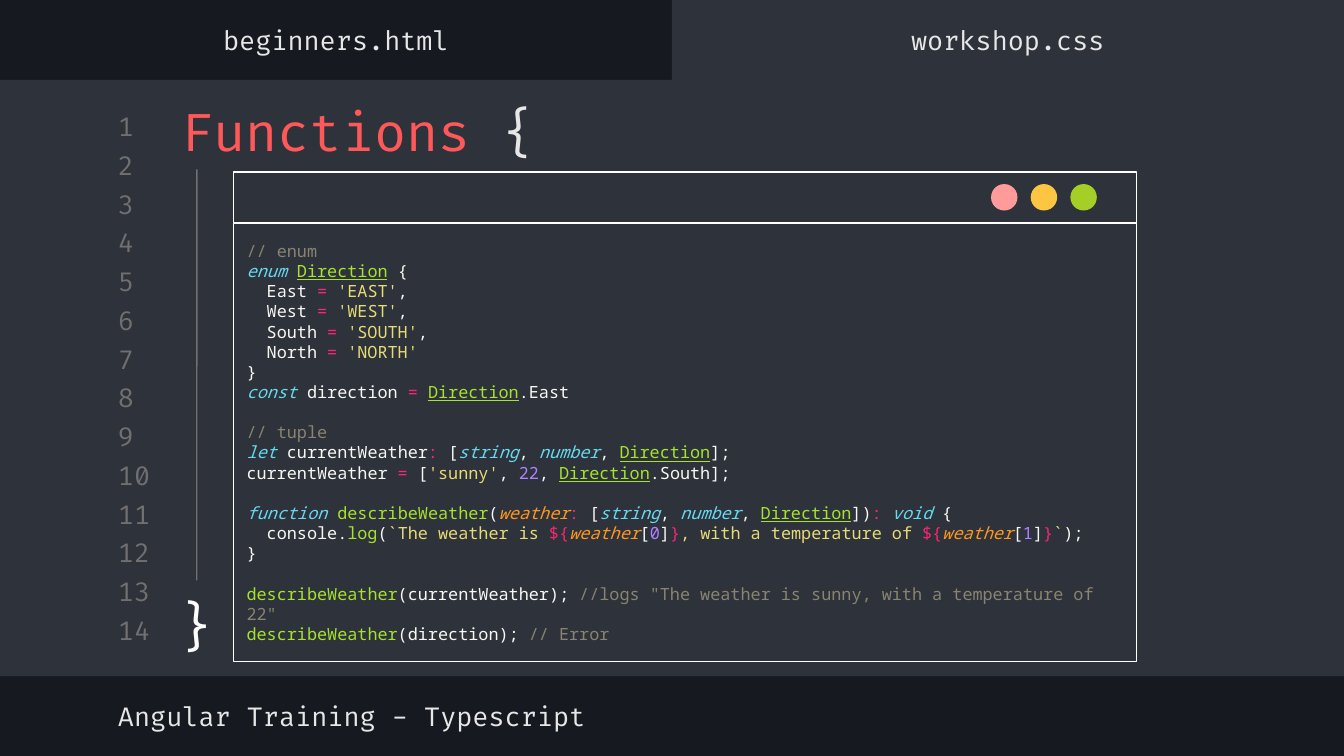
"""Builds the Functions slide: an editor window with TypeScript enum and tuple code."""
from lxml.etree import SubElement
from pptx import Presentation
from pptx.dml.color import RGBColor
from pptx.enum.shapes import MSO_CONNECTOR, MSO_SHAPE
from pptx.enum.text import MSO_ANCHOR, MSO_AUTO_SIZE, PP_ALIGN
from pptx.oxml.ns import qn
from pptx.util import Cm, Pt

THEME = {
    "back": "16191F", "panel": "2E323B", "outline": "FFFFFF", "guide": "707070",
    "ui_font": "Fira Code", "code_font": "Noto Sans Mono",
    "title_size": 28, "label_size": 14, "code_size": 9, "code_line": 10.8, "stroke": 0.75,
    "dots": ["FF9B9B", "FCC642", "A5CF27"],
    "styles": {
        "heading": ("FF5858", {}),
        "label": ("E7E7E7", {}),
        "number": ("707070", {}),
        "brace": ("FFFFFF", {}),
        "note": ("88846F", {}),
        "key": ("66D9EF", {"italic": True}),
        "type": ("A6E22E", {"underline": True}),
        "call": ("A6E22E", {}),
        "plain": ("F8F8F2", {}),
        "op": ("F92672", {}),
        "text": ("E6DB74", {}),
        "value": ("AE81FF", {}),
        "arg": ("FD971F", {"italic": True}),
    },
}

TITLE = [("heading", "Functions "), ("label", "{")]
TABS = ["beginners.html", "workshop.css"]
FOOTER = "Angular Training - Typescript"
LINE_COUNT = 14
DIRECTIONS = ["East", "West", "South", "North"]

DIRECTION = ("type", "Direction")
COMMA = ("plain", ", ")
TUPLE_TYPE = [("plain", " ["), ("key", "string"), COMMA, ("key", "number"), COMMA, DIRECTION]


def member(name):
    """Return the code runs of one enum member."""
    runs = [("plain", f"  {name} "), ("op", "= "), ("text", f"'{name.upper()}'")]
    return runs if name == DIRECTIONS[-1] else runs + [("plain", ",")]


def weather_item(index):
    """Return the code runs of one template placeholder."""
    return [("op", "${"), ("arg", "weather"), ("plain", "["), ("value", index),
            ("plain", "]"), ("op", "}")]


CODE_BLOCKS = [
    [
        [("note", "// enum")],
        [("key", "enum "), DIRECTION, ("plain", " {")],
        *[member(name) for name in DIRECTIONS],
        [("plain", "}")],
        [("key", "const"), ("plain", " direction "), ("op", "= "), DIRECTION, ("plain", ".East")],
    ],
    [
        [("note", "// tuple")],
        [("key", "let "), ("plain", "currentWeather"), ("op", ":"), *TUPLE_TYPE, ("plain", "];")],
        [("plain", "currentWeather "), ("op", "="), ("plain", " ["), ("text", "'sunny'"), COMMA,
         ("value", "22"), COMMA, DIRECTION, ("plain", ".South];")],
    ],
    [
        [("key", "function "), ("call", "describeWeather"), ("plain", "("), ("arg", "weather"),
         ("op", ":"), *TUPLE_TYPE, ("plain", "])"), ("op", ": "), ("key", "void"), ("plain", " {")],
        [("plain", "  console."), ("call", "log"), ("plain", "("), ("text", "`The weather is "),
         *weather_item("0"), ("text", ", with a temperature of "), *weather_item("1"),
         ("text", "`"), ("plain", ");")],
        [("plain", "}")],
    ],
    [
        [("call", "describeWeather"), ("plain", "(currentWeather); "),
         ("note", '//logs "The weather is sunny, with a temperature of 22"')],
        [("call", "describeWeather"), ("plain", "(direction); "), ("note", "// Error")],
    ],
]


def color(value):
    return RGBColor.from_string(value)


def box(*lengths):
    return [Cm(length) for length in lengths]


def set_all(target, values):
    for name, value in values.items():
        setattr(target, name, value)


def add_runs(paragraph, runs, font, size):
    for style, text in runs:
        run = paragraph.add_run()
        run.text = text
        shade, extras = THEME["styles"][style]
        set_all(run.font, {"name": font, "size": Pt(size), **extras})
        run.font.color.rgb = color(shade)


def set_frame(frame, anchor=MSO_ANCHOR.MIDDLE):
    margins = {f"margin_{side}": Cm(0.25) for side in ("left", "top", "right", "bottom")}
    set_all(frame, {"word_wrap": True, "auto_size": MSO_AUTO_SIZE.NONE,
                    "vertical_anchor": anchor, **margins})


def add_label(slide, place, text, style="label", size=THEME["label_size"],
              align=PP_ALIGN.LEFT, anchor=MSO_ANCHOR.MIDDLE):
    label = slide.shapes.add_textbox(*box(*place))
    set_frame(label.text_frame, anchor)
    paragraph = label.text_frame.paragraphs[0]
    paragraph.alignment = align
    add_runs(paragraph, [(style, text)], THEME["ui_font"], size)
    return label


def add_block(slide, place, fill, outline=None, kind=MSO_SHAPE.RECTANGLE):
    block = slide.shapes.add_shape(kind, *box(*place))
    block.shadow.inherit = False
    block.fill.solid()
    block.fill.fore_color.rgb = color(fill)
    if outline:
        block.line.color.rgb = color(outline)
        block.line.width = Pt(THEME["stroke"])
    else:
        block.line.fill.background()
    return block


def add_title(slide):
    """Fill the title and lift it in front of the panels."""
    title = slide.shapes.title
    slide.shapes._spTree.append(title._element)
    set_all(title, dict(zip(("left", "top", "width", "height"), box(3.18, 1.63, 20.24, 1.5))))
    set_frame(title.text_frame, MSO_ANCHOR.TOP)
    paragraph = title.text_frame.paragraphs[0]
    paragraph.alignment = PP_ALIGN.LEFT
    add_runs(paragraph, TITLE, THEME["ui_font"], THEME["title_size"])


def add_closing_brace(slide):
    brace = add_label(slide, (3.02, 10.97, 1.4, 1.7), "}", "brace", THEME["title_size"],
                      PP_ALIGN.CENTER, MSO_ANCHOR.TOP)
    guide = slide.shapes.add_connector(MSO_CONNECTOR.STRAIGHT, *box(3.72, 3.2, 3.72, 10.97))
    guide.end_connect(brace, 0)
    guide.line.color.rgb = color(THEME["guide"])
    guide.line.width = Pt(THEME["stroke"])
    SubElement(guide._element.spPr, qn("a:effectLst"))


def add_code_window(slide):
    left, top, width, bar, body = 4.41, 3.25, 17.07, 0.97, 8.28
    window = add_block(slide, (left, top + bar, width, body), THEME["panel"], THEME["outline"])
    frame = window.text_frame
    set_frame(frame)
    lines = [(runs, block > 0 and row == 0)
             for block, rows in enumerate(CODE_BLOCKS) for row, runs in enumerate(rows)]
    for index, (runs, gap) in enumerate(lines):
        paragraph = frame.add_paragraph() if index else frame.paragraphs[0]
        set_all(paragraph, {"alignment": PP_ALIGN.LEFT, "line_spacing": Pt(THEME["code_line"])})
        if gap:
            paragraph.space_before = Pt(THEME["code_line"])
        add_runs(paragraph, runs, THEME["code_font"], THEME["code_size"])
    add_block(slide, (left, top, width, bar), THEME["panel"], THEME["outline"])
    for index, fill in enumerate(THEME["dots"]):
        add_block(slide, (18.73 + 0.75 * index, 3.48, 0.5, 0.5), fill, kind=MSO_SHAPE.OVAL)


def main():
    deck = Presentation()
    deck.slide_width, deck.slide_height = box(25.4, 14.29)
    slide = deck.slides.add_slide(deck.slide_layouts[5])
    slide.background.fill.solid()
    slide.background.fill.fore_color.rgb = color(THEME["back"])
    add_block(slide, (0, 1.51, 25.4, 11.27), THEME["panel"])
    add_block(slide, (12.7, 0, 12.7, 1.75), THEME["panel"])
    first, last = 2.08, 11.6
    for row in range(LINE_COUNT):
        top = first + (last - first) * row / (LINE_COUNT - 1)
        add_label(slide, (1.98, top, 1.19, 0.61), str(row + 1), "number")
    add_title(slide)
    add_closing_brace(slide)
    add_label(slide, (1.98, 13.04, 13.51, 0.99), FOOTER)
    for index, tab in enumerate(TABS):
        add_label(slide, (12.7 * index, 0.26, 12.7, 0.99), tab, align=PP_ALIGN.CENTER)
    add_code_window(slide)
    deck.save("out.pptx")


if __name__ == "__main__":
    main()
